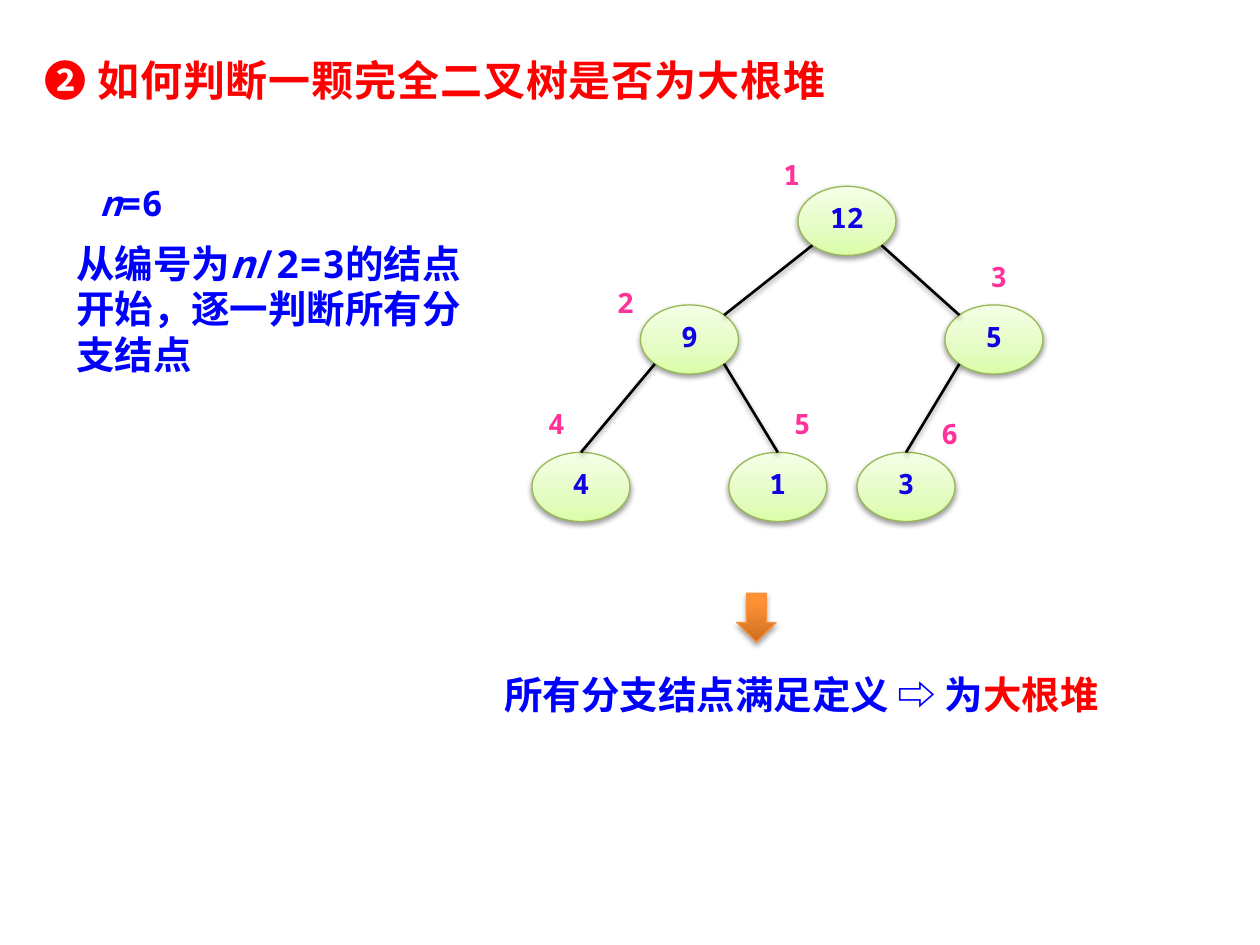
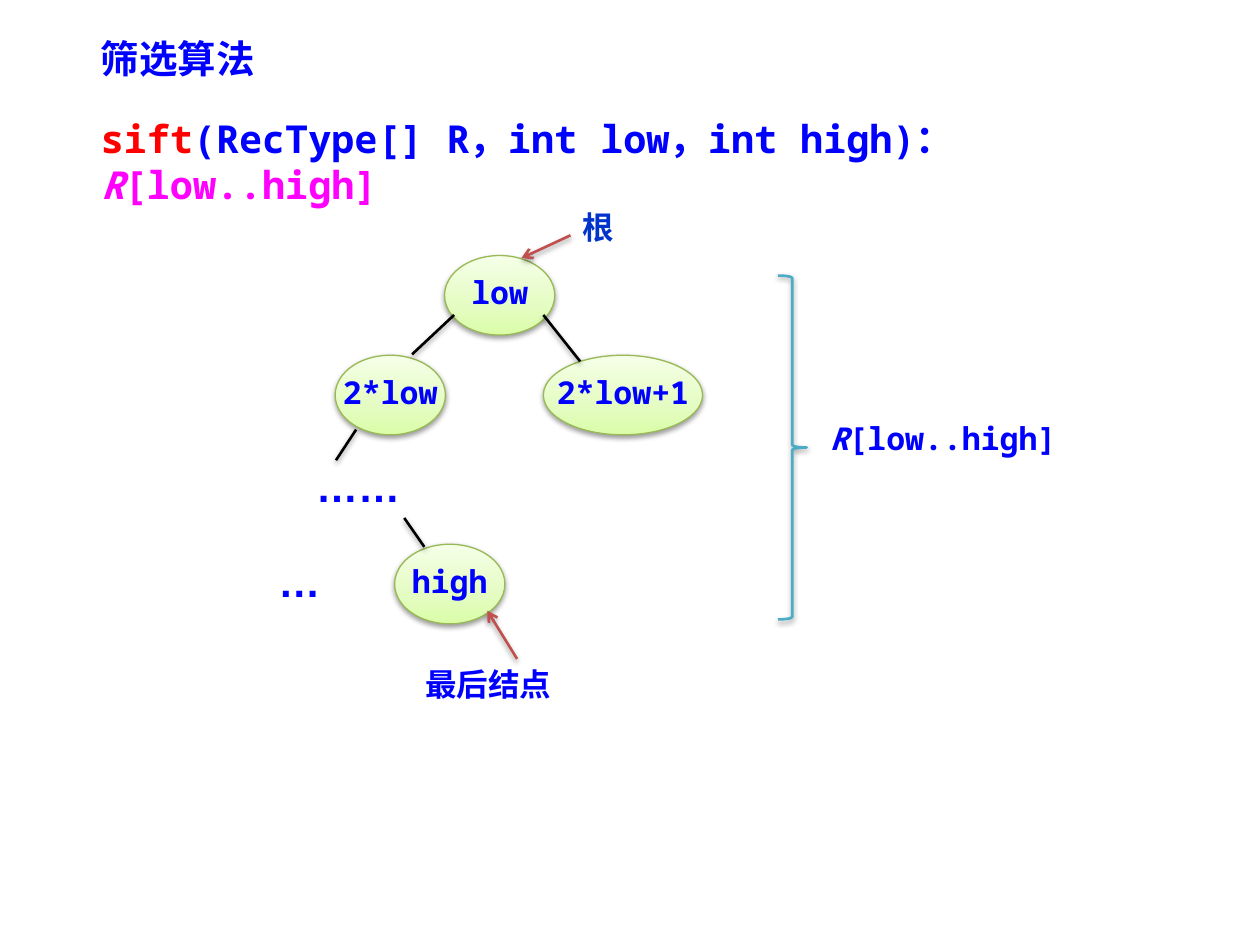
import dataclasses
import math

import pptx
import pptx.dml.color
import pptx.enum.shapes
import pptx.enum.text
import pptx.oxml
import pptx.oxml.ns
import pptx.util
from lxml import etree

Pt = pptx.util.Pt
qn = pptx.oxml.ns.qn
SHAPE = pptx.enum.shapes.MSO_SHAPE
ALIGN = pptx.enum.text.PP_ALIGN
ANCHOR = pptx.enum.text.MSO_ANCHOR


@dataclasses.dataclass(frozen=True)
class Theme:
    mono: str = "Noto Sans Mono"
    chinese: str = "Noto Sans CJK SC"
    dots: str = "Arial"
    blue: str = "0000FF"
    node_text: str = "1000E4"
    root_text: str = "0033CC"
    red: str = "FF0000"
    pink: str = "FF3399"
    magenta: str = "FF00FF"
    black: str = "000000"
    pointer: str = "C0504D"
    brace: str = "4BACC6"
    node_line: str = "98B955"
    node_stops: tuple = ((0, "DAFDA7"), (35, "E4FCC2"), (100, "F5FFE7"))
    arrow_line: str = "F69240"
    arrow_stops: tuple = ((0, "CC6E20"), (80, "FF9034"), (100, "FF9136"))
    heading: float = 24
    body: float = 22
    formula: float = 20
    label: float = 18
    node: float = 16
    tight: float = 0.8
    thin: float = 0.75
    thick: float = 1.5


THEME = Theme()


# Shared helpers

def rgb(color):
    return pptx.dml.color.RGBColor.from_string(color)


def write(box, spans, size, color=THEME.blue, face=THEME.mono, align=ALIGN.LEFT,
          spacing=None, anchor=ANCHOR.TOP, wrap=True, tracking=0):
    """Fill one paragraph; each span is (text, {overrides})."""
    frame = box.text_frame
    frame.word_wrap = wrap
    frame.auto_size = pptx.enum.text.MSO_AUTO_SIZE.NONE
    frame.vertical_anchor = anchor
    para = frame.paragraphs[0]
    para.alignment = align
    if spacing:
        para.line_spacing = spacing
    for text, style in spans:
        span = para.add_run()
        span.text = text
        font = span.font
        font.size = Pt(size)
        font.bold = True
        font.italic = style.get("italic", False)
        font.color.rgb = rgb(style.get("color", color))
        font.name = face
        properties = span._r.get_or_add_rPr()
        east_asian = face if face == THEME.dots else THEME.chinese
        etree.SubElement(properties, qn("a:ea"), typeface=east_asian)
        if tracking:
            properties.set("spc", str(round(tracking * 100)))


def add_text(page, left, top, width, height, spans, size, inset=True, **style):
    box = page.shapes.add_textbox(Pt(left), Pt(top), Pt(width), Pt(height))
    if not inset:
        frame = box.text_frame
        frame.margin_left = frame.margin_right = 0
        frame.margin_top = frame.margin_bottom = 0
    write(box, spans, size, **style)
    return box


def add_title(page, left, top, width, height, text, size, **style):
    title = page.shapes.title
    title.left, title.top = Pt(left), Pt(top)
    title.width, title.height = Pt(width), Pt(height)
    write(title, [(text, {})], size, **style)


def add_shadow(shape, opacity=38, distance=1.6):
    shape.element.spPr.append(pptx.oxml.parse_xml(
        f'<a:effectLst {pptx.oxml.ns.nsdecls("a")}>'
        f'<a:outerShdw blurRad="{Pt(3.1)}" dist="{Pt(distance)}" dir="5400000" rotWithShape="0">'
        f'<a:srgbClr val="000000"><a:alpha val="{opacity * 1000}"/></a:srgbClr>'
        '</a:outerShdw></a:effectLst>'))


def set_gradient(shape, stops):
    """Run the stops from the bottom edge to the top."""
    shape.fill.gradient()
    shape.fill.gradient_angle = 90
    stop_list = shape.element.spPr.find(qn("a:gradFill")).find(qn("a:gsLst"))
    for old in list(stop_list):
        stop_list.remove(old)
    for position, color in stops:
        stop = etree.SubElement(stop_list, qn("a:gs"), pos=str(position * 1000))
        etree.SubElement(stop, qn("a:srgbClr"), val=color)


def set_line(shape, color, width):
    shape.line.color.rgb = rgb(color)
    shape.line.width = Pt(width)


def add_shape(page, kind, left, top, width, height, line, weight, stops=None, **shadow):
    shape = page.shapes.add_shape(kind, Pt(left), Pt(top), Pt(width), Pt(height))
    if stops:
        set_gradient(shape, stops)
    else:
        shape.fill.background()
    set_line(shape, line, weight)
    add_shadow(shape, **shadow)
    return shape


def add_node(page, left, top, width, height, text, size, color):
    node = add_shape(page, SHAPE.OVAL, left, top, width, height,
                     THEME.node_line, THEME.thin, THEME.node_stops)
    write(node, [(text, {})], size, color=color, align=ALIGN.CENTER,
          spacing=THEME.tight, anchor=ANCHOR.MIDDLE, wrap=False)


def add_line(page, start, end, color=THEME.black, arrow=False):
    line = page.shapes.add_connector(
        pptx.enum.shapes.MSO_CONNECTOR.STRAIGHT, *(Pt(value) for value in (*start, *end)))
    set_line(line, color, THEME.thick)
    if arrow:
        etree.SubElement(line.line._get_or_add_ln(), qn("a:tailEnd"), type="arrow")
    add_shadow(line)


# Heap check slide

def draw_heap(page, left, top):
    """Draw a numbered complete binary tree: the parent of i is i // 2."""
    width, height = 56, 39.5
    level_tops = (12.75, 80.5, 164.75)
    # number: (value, node left, label left, label top)
    nodes = {
        1: ("12", 152, 134.5, 0), 2: ("9", 62, 39.5, 73.25),
        3: ("5", 236, 252.75, 58.25), 4: ("4", 0, 0, 142.25),
        5: ("1", 112.5, 140.5, 142.25), 6: ("3", 185.75, 224.75, 148.25),
    }

    def rim(number, across, down):
        """Point of the node outline; across and down are -1, 0 or 1."""
        reach = 0.5 / math.hypot(across, down)
        x, y = left + nodes[number][1], top + level_tops[number.bit_length() - 1]
        return x + width * (0.5 + across * reach), y + height * (0.5 + down * reach)

    for number, (value, x, _, _) in nodes.items():
        add_node(page, left + x, top + level_tops[number.bit_length() - 1],
                 width, height, value, THEME.node, THEME.node_text)
    for child in list(nodes)[1:]:
        side = 1 if child % 2 else -1
        is_leaf = 2 * child not in nodes
        add_line(page, rim(child // 2, side, 1), rim(child, 0 if is_leaf else -side, -1))
    for number, (_, _, x, y) in nodes.items():
        add_text(page, left + x, top + y, 28, 16, [(str(number), {})], THEME.node,
                 inset=False, color=THEME.pink, align=ALIGN.CENTER, spacing=THEME.tight)


def draw_rule(page, left, top):
    add_text(page, left + 13.5, top, 96, 32,
             [("n", {"italic": True}), ("=6", {})], THEME.formula)
    add_text(page, left, top + 34, 253.5, 86,
             [("从编号为", {}), ("n", {"italic": True}),
              ("/2=3的结点开始，逐一判断所有分支结点", {})],
             THEME.body, spacing=Pt(26))


def draw_conclusion(page, left, top):
    add_text(page, left, top + 39.5, 372, 34,
             [("所有分支结点满足定义 ⇨ 为", {}), ("大根堆", {"color": THEME.red})],
             THEME.body, align=ALIGN.CENTER, spacing=Pt(28))
    add_shape(page, SHAPE.DOWN_ARROW, left + 149, top, 22.5, 28, THEME.arrow_line,
              THEME.thin, THEME.arrow_stops, opacity=35, distance=1.8)


def build_heap_page(page):
    add_title(page, 18, 27.5, 490, 36, "❷ 如何判断一颗完全二叉树是否为大根堆",
              THEME.heading, color=THEME.red, tracking=0.5)
    draw_heap(page, 304, 93.75)
    draw_rule(page, 36.5, 100)
    draw_conclusion(page, 272, 339)


# Sift slide

def draw_signature(page, left, top):
    add_text(page, left, top, 615.5, 34,
             [("sift", {"color": THEME.red}),
              ("(RecType[] R，int low，int high)：", {}),
              ("R", {"color": THEME.magenta, "italic": True}),
              ("[low..high]", {"color": THEME.magenta})], THEME.body)


def draw_sift_tree(page, left, top):
    for text, x, y, width in (("low", 102, 26, 63), ("2*low", 39.5, 83, 63),
                              ("2*low+1", 158.5, 83, 91), ("high", 73.5, 191, 63)):
        add_node(page, left + x, top + y, width, 45.5, text, THEME.label, THEME.blue)

    branches = (((107.5, 60), (83.5, 82.5)), ((158.5, 60), (179.5, 86.5)),
                ((51.5, 125.5), (40, 143)), ((79, 176), (90.5, 192.5)))
    pointers = (((174, 14.5), (146, 27.5)), ((143.5, 256.5), (126.5, 229)))
    for lines, color, arrow in ((branches, THEME.black, False),
                                (pointers, THEME.pointer, True)):
        for start, end in lines:
            add_line(page, *((left + x, top + y) for x, y in (start, end)),
                     color=color, arrow=arrow)

    # Omitted levels
    for text, x, y, width in (("……", 21.5, 145, 85), ("…", 0, 199.5, 56)):
        add_text(page, left + x, top + y, width, 30, [(text, {})], THEME.heading,
                 face=THEME.dots, spacing=THEME.tight)

    # Root and last node captions
    add_text(page, left + 174, top - 0.5, 40, 29, [("根", {})], THEME.label,
             color=THEME.root_text, face=THEME.chinese, spacing=THEME.tight)
    add_text(page, left + 84, top + 256.5, 118, 29, [("最后结点", {})], THEME.label,
             face=THEME.chinese)


def draw_range(page, left, top):
    add_shape(page, SHAPE.RIGHT_BRACE, left, top, 16.5, 196.5, THEME.brace, THEME.thick)
    add_text(page, left + 22.5, top + 78.5, 158, 29,
             [("R", {"italic": True}), ("[low..high]", {})], THEME.label)


def build_sift_page(page):
    add_title(page, 50.5, 16.5, 132, 34, "筛选算法", THEME.body)
    draw_signature(page, 50.5, 62)
    draw_sift_tree(page, 152, 120)
    draw_range(page, 444.5, 157.5)


def main():
    deck = pptx.Presentation()
    deck.slide_width, deck.slide_height = Pt(720), Pt(540)
    title_only = deck.slide_layouts[5]
    for build in (build_heap_page, build_sift_page):
        build(deck.slides.add_slide(title_only))
    deck.save("out.pptx")


if __name__ == "__main__":
    main()
